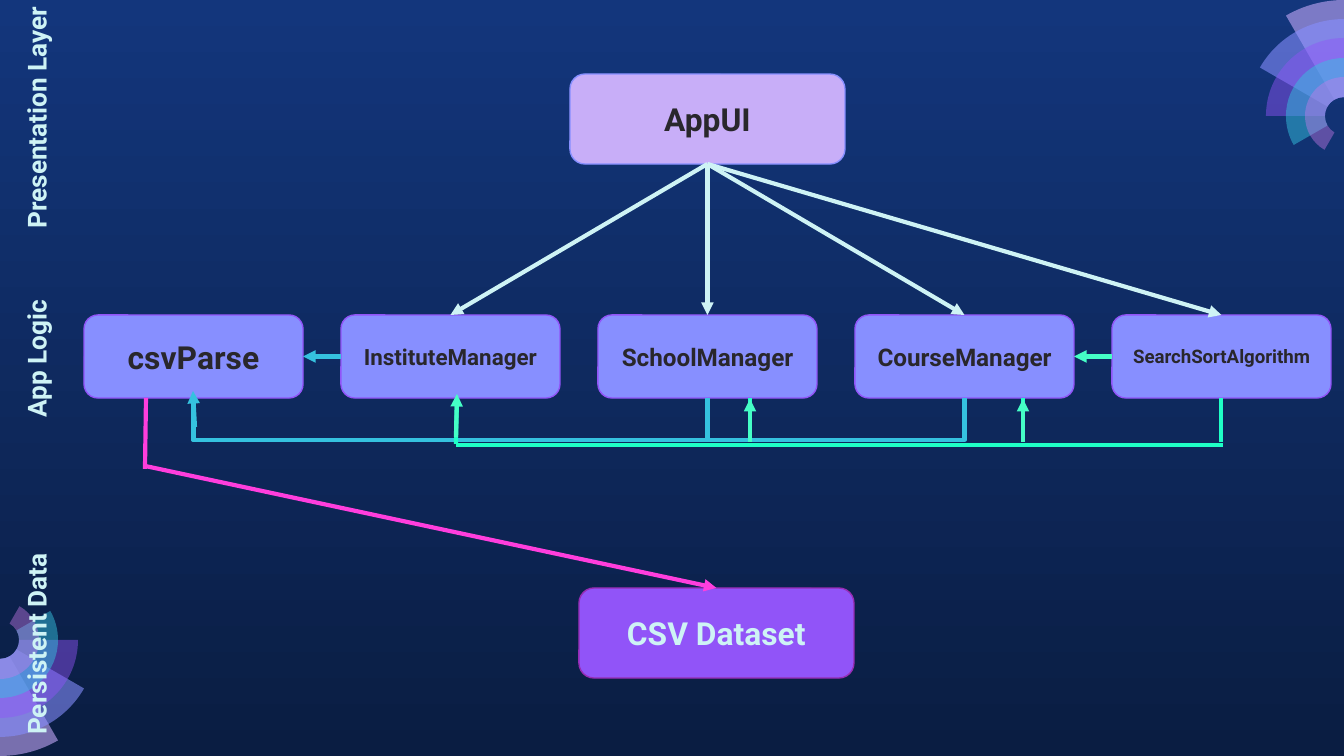
import math

import pptx
import pptx.dml.color
import pptx.enum.shapes
import pptx.enum.text
import pptx.oxml
import pptx.oxml.ns
import pptx.util

PX = 914400 / 134.4
TOP, LEFT, BOTTOM, RIGHT = range(4)

THEME = {
    "font": "Roboto", "bg_top": "13367C", "bg_bottom": "0A1D42",
    "dark": "29272C", "pale": "CEF3F5", "lilac": "C8AEF8", "blue": "878FFF",
    "violet": "9154F8", "plum": "972CB4", "pink": "FF3EDD", "cyan": "35C2DF",
    "green": "1FFFC6", "mint": "45FFC6", "fan_lilac": "C8ACFD", "fan_orchid": "CA7BEB",
    "label": 14, "box": 17, "outline": 0.75, "line": 2.25,
}

# Content: layer labels with their tops, modules with their type sizes
LAYERS = [("Presentation Layer", 44), ("App Logic", 233), ("Persistent Data", 550)]
MODULES = [("csvParse", 17), ("InstituteManager", 12), ("SchoolManager", 13),
           ("CourseManager", 13), ("SearchSortAlgorithm", 10)]
MODULE_X, MODULE_Y, MODULE_W, MODULE_H, MODULE_STEP = 84, 315, 219, 83, 257
ELBOW_DROP = 35

# Free line segments: start, end, colour, arrowhead
SEGMENTS = [
    ((195, 427), (193, 391), "cyan", True),
    ((145, 469), (146, 398), "pink", False),
    ((1221, 398), (1221, 442), "green", False),
    ((1223, 445), (456, 445), "green", False),
    ((457, 399), (456, 444), "green", False),
    ((1023, 398), (1023, 442), "green", False),
    ((750, 398), (750, 442), "green", False),
    ((1023, 442), (1023, 399), "mint", True),
    ((750, 442), (750, 399), "mint", True),
    ((456, 437), (457, 394), "mint", True),
]

# Corner fans: centre and rotation; wedges: outer radius, end angle, colour, opacity %
FANS = [((0, 640), 90), ((1344, 116), 270)]
FAN_HOLE = 19
WEDGES = [(116, 60, "fan_lilac", 58), (97, 30, "blue", 58), (78, 0, "violet", 46),
          (58, -30, "cyan", 49), (39, -60, "fan_orchid", 42)]


def px(n):
    return pptx.util.Emu(round(n * PX))


def rgb(name):
    return pptx.dml.color.RGBColor.from_string(THEME[name])


def add_xml(parent, tag, **attrs):
    el = pptx.oxml.parse_xml(f"<a:{tag} {pptx.oxml.ns.nsdecls('a')}/>")
    for key, value in attrs.items():
        el.set(key, str(value))
    parent.append(el)


def write(sp, text, *, size, color, align=None, anchor="TOP"):
    tf = sp.text_frame
    tf.word_wrap = True
    tf.vertical_anchor = getattr(pptx.enum.text.MSO_ANCHOR, anchor)
    tf.margin_left = tf.margin_right = tf.margin_top = tf.margin_bottom = pptx.util.Inches(0.1)
    p = tf.paragraphs[0]
    p.alignment = align
    r = p.add_run()
    r.text = text
    r.font.name, r.font.size, r.font.bold = THEME["font"], pptx.util.Pt(size), True
    r.font.color.rgb = rgb(color)


def add_box(shapes, text, x, y, w, h, *, size, fill, line, color="dark"):
    kind = pptx.enum.shapes.MSO_SHAPE.ROUNDED_RECTANGLE
    sp = shapes.add_shape(kind, px(x), px(y), px(w), px(h))
    sp.shadow.inherit = False
    sp.fill.solid()
    sp.fill.fore_color.rgb = rgb(fill)
    sp.line.color.rgb = rgb(line)
    sp.line.width = pptx.util.Pt(THEME["outline"])
    write(sp, text, size=size, color=color,
          align=pptx.enum.text.PP_ALIGN.CENTER, anchor="MIDDLE")
    return sp


def add_line(shapes, start, end, color, arrow=False, kind="STRAIGHT"):
    """Each end is an (x, y) point in px or a (shape, side) pair."""
    points = [(0, 0) if hasattr(e[0], "shape_id") else e for e in (start, end)]
    c = shapes.add_connector(getattr(pptx.enum.shapes.MSO_CONNECTOR, kind),
                             *(px(n) for point in points for n in point))
    for e, connect in ((start, c.begin_connect), (end, c.end_connect)):
        if hasattr(e[0], "shape_id"):
            connect(*e)
    c.line.color.rgb = rgb(color)
    c.line.width = pptx.util.Pt(THEME["line"])
    if arrow:
        add_xml(c.line._get_or_add_ln(), "tailEnd", type="triangle")
    add_xml(c._element.spPr, "effectLst")
    return c


def add_elbow(shapes, source, target, color):
    """U-shaped route below two boxes of one row, running right to left."""
    c = add_line(shapes, (source, BOTTOM), (target, BOTTOM), color, kind="ELBOW")
    x1, x2 = (b.left + b.width // 2 for b in (source, target))
    thin, span = 600, x1 - x2
    xfrm = c._element.spPr.xfrm
    for flip in ("flipH", "flipV"):
        xfrm.attrib.pop(flip, None)
    xfrm.set("rot", str(90 * 60000))
    c.left, c.top = (x1 + x2 - thin) // 2, source.top + source.height - span // 2
    c.width, c.height = thin, span
    guides = c._element.spPr.prstGeom.get_or_add_avLst()
    add_xml(guides, "gd", name="adj1", fmla=f"val {round(px(ELBOW_DROP) / thin * 100000)}")


def arc(radius, *angles):
    """Bezier points of an arc through the angles: a start, then three per curve."""
    def at(angle, pull=0):
        a = math.radians(angle)
        return (radius * (math.cos(a) - pull * math.sin(a)),
                radius * (math.sin(a) + pull * math.cos(a)))

    points = [at(angles[0])]
    for a, b in zip(angles, angles[1:]):
        k = 4 / 3 * math.tan(math.radians(b - a) / 4)
        points += [at(a, k), at(b, -k), at(b)]
    return points


def add_wedge(shapes, center, rotation, radius, end, color, opacity):
    # The wedge is drawn unturned, then rotated into its corner
    angles = [90, 0, end] if end < 0 else [90, end]
    angles = [a + (rotation - 90) - rotation for a in angles]
    outer, inner = arc(radius, *angles), arc(FAN_HOLE, *angles[::-1])
    points = [(px(x), px(y)) for x, y in outer + inner]
    fb = shapes.build_freeform(*points[0], scale=1.0)
    fb.add_line_segments(points[1:], close=True)
    sp = fb.convert_to_shape()

    # Turn each run of three line points into one curve
    lines = sp._element.findall(".//" + pptx.oxml.ns.qn("a:lnTo"))
    bend = len(outer) - 1
    for curve_lines in (lines[:bend], lines[bend + 1:bend + len(inner)]):
        for i in range(0, len(curve_lines), 3):
            curve = pptx.oxml.parse_xml(f"<a:cubicBezTo {pptx.oxml.ns.nsdecls('a')}/>")
            curve_lines[i].addprevious(curve)
            for line in curve_lines[i:i + 3]:
                curve.append(line[0])
                line.getparent().remove(line)

    dx, dy = sp.left + sp.width // 2, sp.top + sp.height // 2
    turn = 1 if rotation == 90 else -1
    sp.left = px(center[0]) - turn * dy - sp.width // 2
    sp.top = px(center[1]) + turn * dx - sp.height // 2
    sp.rotation = rotation
    sp.shadow.inherit = False
    sp.line.fill.background()
    sp.fill.solid()
    sp.fill.fore_color.rgb = rgb(color)
    add_xml(sp._element.spPr.find(".//" + pptx.oxml.ns.qn("a:srgbClr")),
            "alpha", val=opacity * 1000)


def main():
    prs = pptx.Presentation()
    prs.slide_width, prs.slide_height = px(1344), px(756)
    s = prs.slides.add_slide(prs.slide_layouts[6])
    shapes = s.shapes

    # Background, darkening downwards
    fill = s.background.fill
    fill.gradient()
    fill.gradient_angle = 270
    for stop, name in zip(fill.gradient_stops, ("bg_top", "bg_bottom")):
        stop.color.rgb = rgb(name)

    # Corner fans
    for center, rotation in FANS:
        for wedge in WEDGES:
            add_wedge(shapes, center, rotation, *wedge)

    # Boxes
    app = add_box(shapes, "AppUI", 570, 74, 275, 90, size=THEME["box"],
                  fill="lilac", line="blue")
    modules = [add_box(shapes, name, MODULE_X + i * MODULE_STEP, MODULE_Y, MODULE_W, MODULE_H,
                       size=size, fill="blue", line="violet")
               for i, (name, size) in enumerate(MODULES)]
    parser, institute, school, course, search = modules
    data = add_box(shapes, "CSV Dataset", 579, 588, 275, 90, size=THEME["box"],
                   fill="violet", line="plum", color="pale")

    # Connections
    for module in (school, institute, course, search):
        add_line(shapes, (app, BOTTOM), (module, TOP), "pale", arrow=True)
    add_line(shapes, (145, 466), (data, TOP), "pink", arrow=True)
    add_line(shapes, (institute, LEFT), (parser, RIGHT), "cyan", arrow=True)
    add_line(shapes, (search, LEFT), (course, RIGHT), "mint", arrow=True)
    for manager in (school, course):
        add_elbow(shapes, manager, parser, "cyan")
    for segment in SEGMENTS:
        add_line(shapes, *segment)

    # Layer labels, reading upwards
    for text, y in LAYERS:
        sp = shapes.add_textbox(px(-132), px(y), px(337), px(59))
        sp.rotation = 270
        write(sp, text, size=THEME["label"], color="pale")
        sp.text_frame.auto_size = pptx.enum.text.MSO_AUTO_SIZE.SHAPE_TO_FIT_TEXT

    prs.save("out.pptx")


if __name__ == "__main__":
    main()
